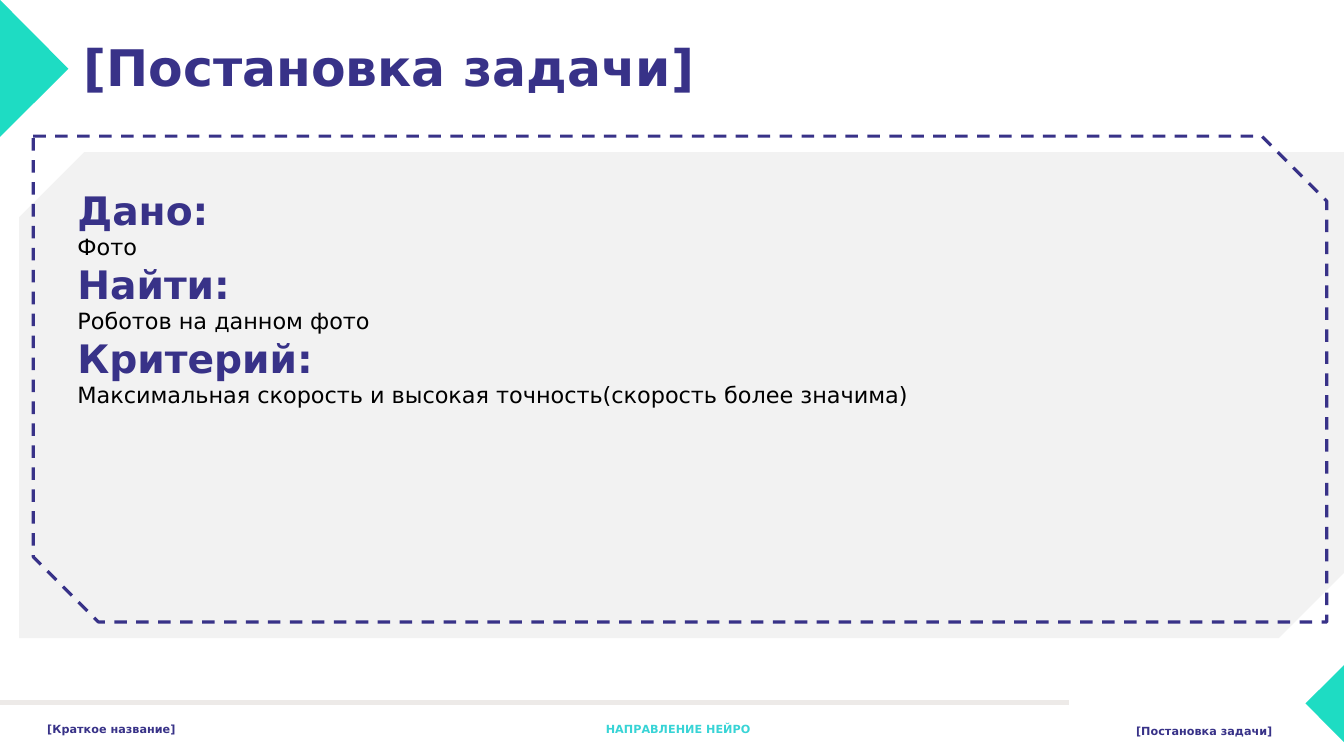
from pptx import Presentation
from pptx.dml.color import RGBColor
from pptx.enum.dml import MSO_LINE
from pptx.enum.shapes import MSO_CONNECTOR, MSO_SHAPE
from pptx.enum.text import MSO_AUTO_SIZE
from pptx.oxml.ns import qn
from pptx.util import Inches, Pt

DASH = MSO_LINE.DASH
STRAIGHT = MSO_CONNECTOR.STRAIGHT
SNIPPED = MSO_SHAPE.SNIP_2_DIAG_RECTANGLE
TRIANGLE = MSO_SHAPE.RIGHT_TRIANGLE
GROW = MSO_AUTO_SIZE.SHAPE_TO_FIT_TEXT

FONT = "DejaVu Sans"
INDIGO, TEAL, CYAN = "383288", "1EDCC3", "38D4D6"
BLACK, PANEL_GREY, RULE_GREY = "000000", "F2F2F2", "EDEAE8"
SNIP = 0.134

TASK = [
    ("Дано:", "Фото"),
    ("Найти:", "Роботов на данном фото"),
    ("Критерий:", "Максимальная скорость и высокая точность(скорость более значима)"),
]


def color(hex_code):
    return RGBColor.from_string(hex_code)


def add_text(page, left, top, width, height, lines):
    """Add a text box; each line is (text, size, hex colour, bold)."""
    box = page.shapes.add_textbox(Inches(left), Inches(top), Inches(width), Inches(height))
    frame = box.text_frame
    frame.word_wrap = True
    frame.auto_size = GROW
    frame.text = "\n".join(line[0] for line in lines)
    for para, (_, size, hex_code, bold) in zip(frame.paragraphs, lines):
        font = para.runs[0].font
        font.name, font.size, font.bold = FONT, Pt(size), bold
        font.color.rgb = color(hex_code)


def add_shape(page, kind, left, top, width, height, fill=None, outline=None):
    shape = page.shapes.add_shape(kind, Inches(left), Inches(top), Inches(width), Inches(height))
    shape.shadow.inherit = False
    if fill:
        shape.fill.solid()
        shape.fill.fore_color.rgb = color(fill)
    else:
        shape.fill.background()
    if outline:
        shape.line.color.rgb = color(outline)
        shape.line.width = Pt(2.25)
        shape.line.dash_style = DASH
    else:
        shape.line.fill.background()
    return shape


def add_edge_arrow(page, center_x, center_y, side, rotation):
    """Add a turned triangle whose long side lies on a slide edge."""
    arrow = add_shape(page, TRIANGLE, center_x - side / 2, center_y - side / 2, side, side, fill=TEAL)
    arrow.rotation = rotation


def add_header(page, left, top, width, height):
    add_edge_arrow(page, left, top + 0.68, 0.96, 225.2)
    add_text(page, left + 0.73, top + 0.31, width - 1.55, height,
             [("[Постановка задачи]", 36, INDIGO, True)])


def add_task_panel(page, left, top, width, height):
    """Add the grey panel, the task text and the dashed frame over it."""
    panel = add_shape(page, SNIPPED, left, top, width, height, fill=PANEL_GREY)
    panel.adjustments[0], panel.adjustments[1] = SNIP, 0
    lines = []
    for heading, answer in TASK:
        lines += [(heading, 28, INDIGO, True), (answer, 16, BLACK, False)]
    add_text(page, left + 0.48, top + 0.29, width - 0.81, 2.32, lines)
    frame = add_shape(page, SNIPPED, left + 0.14, top - 0.16, width - 0.31, height, outline=INDIGO)
    frame.adjustments[0], frame.adjustments[1] = 0, SNIP


def add_footer(page, left, top, width):
    rule = page.shapes.add_connector(
        STRAIGHT, Inches(left), Inches(top), Inches(left + 10.6), Inches(top))
    rule.line.color.rgb = color(RULE_GREY)
    rule.line.width = Pt(3)
    properties = rule._element.spPr
    properties.append(properties.makeelement(qn("a:effectLst"), {}))
    add_edge_arrow(page, left + width, top + 0.01, 0.54, 45.2)
    labels = [
        ("[Краткое название]", 0.37, 0.15, 1.98, INDIGO),
        ("НАПРАВЛЕНИЕ НЕЙРО", 5.91, 0.15, 1.71, CYAN),
        ("[Постановка задачи]", 11.17, 0.17, 1.6, INDIGO),
    ]
    for text, offset, drop, label_width, hex_code in labels:
        add_text(page, left + offset, top + drop, label_width, 0.24, [(text, 8, hex_code, True)])


def main():
    deck = Presentation()
    deck.slide_width, deck.slide_height = Inches(13.33), Inches(7.5)
    page = deck.slides.add_slide(deck.slide_layouts[6])
    add_task_panel(page, 0.19, 1.51, 13.14, 4.82)
    add_header(page, 0, 0, 13.33, 0.71)
    add_footer(page, 0, 6.97, 13.33)
    deck.save("out.pptx")


if __name__ == "__main__":
    main()
